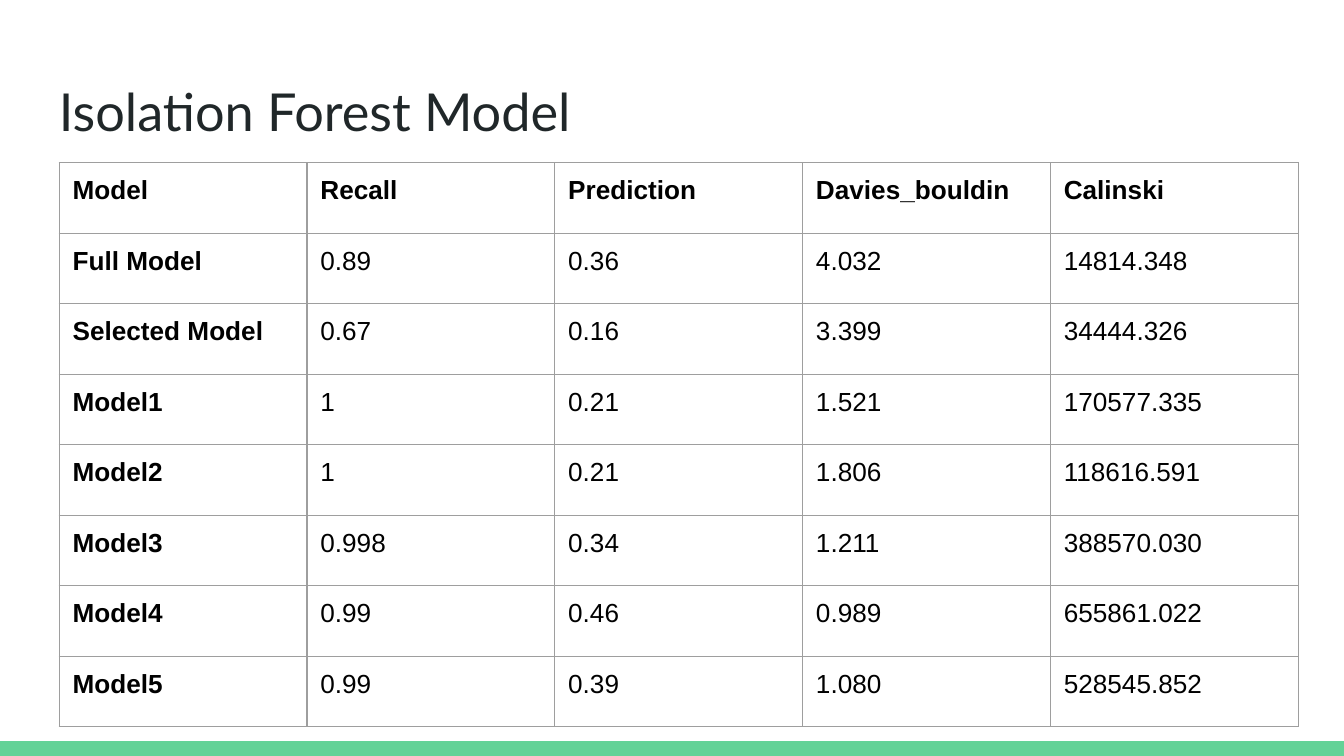
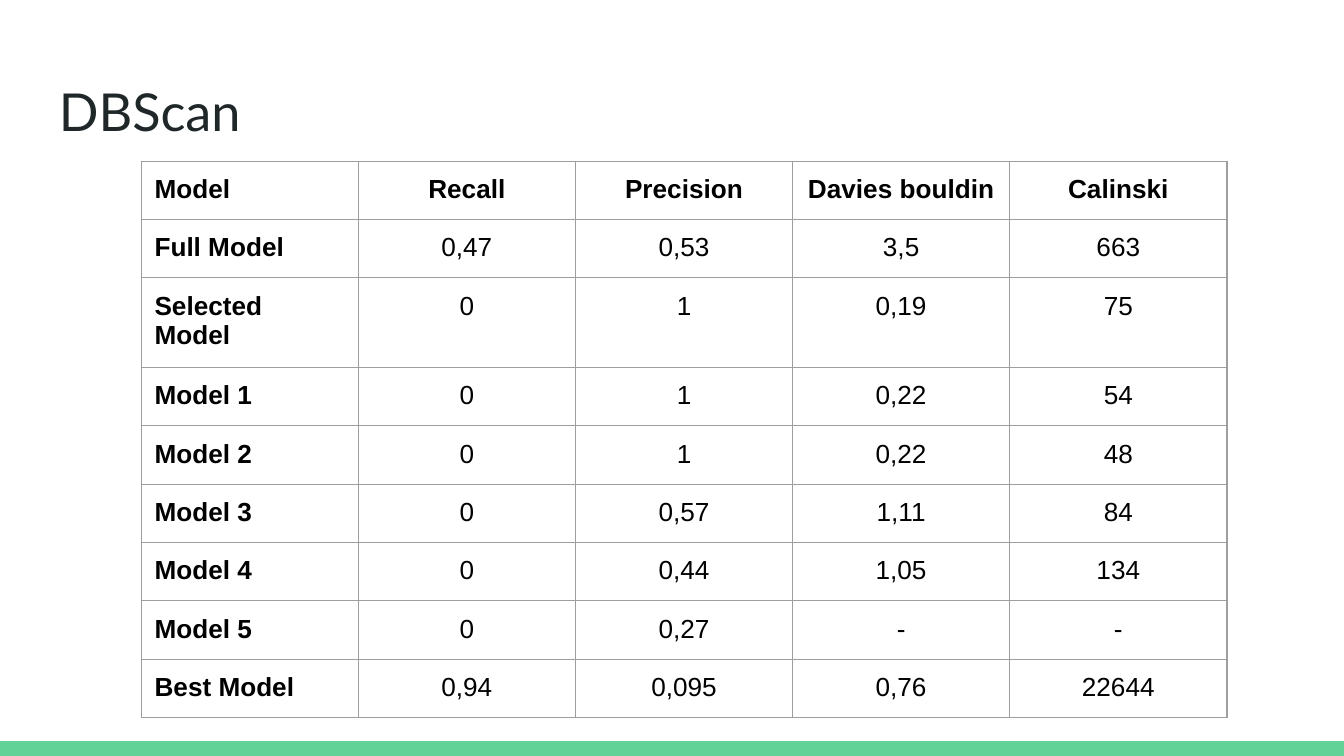
from lxml import etree
from pptx import Presentation
from pptx.dml.color import RGBColor
from pptx.enum.shapes import MSO_SHAPE
from pptx.enum.text import MSO_ANCHOR, PP_ALIGN
from pptx.oxml.ns import qn
from pptx.util import Inches, Pt

RECTANGLE = MSO_SHAPE.RECTANGLE
TOP = MSO_ANCHOR.TOP
LEFT, CENTER = PP_ALIGN.LEFT, PP_ALIGN.CENTER

COLORS = {
    "background": "FFFFFF",
    "band": "63D297",
    "title": "202729",
    "text": "000000",
    "border": "9E9E9E",
}
TITLE_FONT, TABLE_FONT = "Lato", "Arial"
SLIDE_WIDTH = Inches(10)
SLIDE_HEIGHT = SLIDE_WIDTH * 9 // 16
BAND_HEIGHT = Inches(0.11)
INSET = Inches(0.1)
BORDER_WIDTH = Pt(0.75)

TITLE_BOX = (Inches(0.34), Inches(0.49), Inches(9.32), Inches(0.63))
FOREST_BOX = (Inches(0.44), Inches(1.21), Inches(9.22), Inches(4.2))
DBSCAN_BOX = (Inches(1.05), Inches(1.2), Inches(8.08), Inches(3.78))

FOREST_ROWS = [
    ("Model", "Recall", "Prediction", "Davies_bouldin", "Calinski"),
    ("Full Model", "0.89", "0.36", "4.032", "14814.348"),
    ("Selected Model", "0.67", "0.16", "3.399", "34444.326"),
    ("Model1", "1", "0.21", "1.521", "170577.335"),
    ("Model2", "1", "0.21", "1.806", "118616.591"),
    ("Model3", "0.998", "0.34", "1.211", "388570.030"),
    ("Model4", "0.99", "0.46", "0.989", "655861.022"),
    ("Model5", "0.99", "0.39", "1.080", "528545.852"),
]
DBSCAN_ROWS = [
    ("Model", "Recall", "Precision", "Davies bouldin", "Calinski"),
    ("Full Model", "0,47", "0,53", "3,5", "663"),
    ("Selected Model", "0", "1", "0,19", "75"),
    ("Model 1", "0", "1", "0,22", "54"),
    ("Model 2", "0", "1", "0,22", "48"),
    ("Model 3", "0", "0,57", "1,11", "84"),
    ("Model 4", "0", "0,44", "1,05", "134"),
    ("Model 5", "0", "0,27", "-", "-"),
    ("Best Model", "0,94", "0,095", "0,76", "22644"),
]


def color(name):
    return RGBColor.from_string(COLORS[name])


def set_insets(target):
    target.margin_left = target.margin_right = INSET
    target.margin_top = target.margin_bottom = INSET


def add_run(paragraph, text, font_name, size, color_name, bold=False):
    run = paragraph.add_run()
    run.text = text
    run.font.name = font_name
    run.font.size = Pt(size)
    run.font.bold = bold
    run.font.color.rgb = color(color_name)


def add_borders(cell):
    properties = cell._tc.get_or_add_tcPr()
    for side in ("a:lnL", "a:lnR", "a:lnT", "a:lnB"):
        line = etree.SubElement(properties, qn(side), w=str(BORDER_WIDTH))
        fill = etree.SubElement(line, qn("a:solidFill"))
        etree.SubElement(fill, qn("a:srgbClr"), val=COLORS["border"])


def add_band(slide, box):
    band = slide.shapes.add_shape(RECTANGLE, *box)
    band.shadow.inherit = False
    band.fill.solid()
    band.fill.fore_color.rgb = color("band")
    band.line.fill.background()


def add_title(slide, box, text):
    frame = slide.shapes.add_textbox(*box).text_frame
    frame.word_wrap = True
    frame.vertical_anchor = TOP
    set_insets(frame)
    add_run(frame.paragraphs[0], text, TITLE_FONT, 28, "title")


def add_score_table(slide, box, rows, value_alignment):
    left, top, width, height = box
    column_count = len(rows[0])
    table = slide.shapes.add_table(len(rows), column_count, *box).table
    table.first_row = table.horz_banding = False
    for column in table.columns:
        column.width = width // column_count
    for row in table.rows:
        row.height = height // len(rows)
    for row_index, values in enumerate(rows):
        for column_index, value in enumerate(values):
            cell = table.cell(row_index, column_index)
            add_borders(cell)
            cell.fill.background()
            cell.vertical_anchor = TOP
            set_insets(cell)
            paragraph = cell.text_frame.paragraphs[0]
            paragraph.alignment = value_alignment if column_index else LEFT
            is_heading = row_index == 0 or column_index == 0
            add_run(paragraph, value, TABLE_FONT, 14, "text", is_heading)


def add_score_slide(presentation, title, box, rows, value_alignment):
    slide = presentation.slides.add_slide(presentation.slide_layouts[6])
    slide.background.fill.solid()
    slide.background.fill.fore_color.rgb = color("background")
    add_band(slide, (0, SLIDE_HEIGHT - BAND_HEIGHT, SLIDE_WIDTH, BAND_HEIGHT))
    add_title(slide, TITLE_BOX, title)
    add_score_table(slide, box, rows, value_alignment)


def main():
    presentation = Presentation()
    presentation.slide_width = SLIDE_WIDTH
    presentation.slide_height = SLIDE_HEIGHT
    add_score_slide(presentation, "Isolation Forest Model", FOREST_BOX, FOREST_ROWS, LEFT)
    add_score_slide(presentation, "DBScan", DBSCAN_BOX, DBSCAN_ROWS, CENTER)
    presentation.save("out.pptx")


if __name__ == "__main__":
    main()
